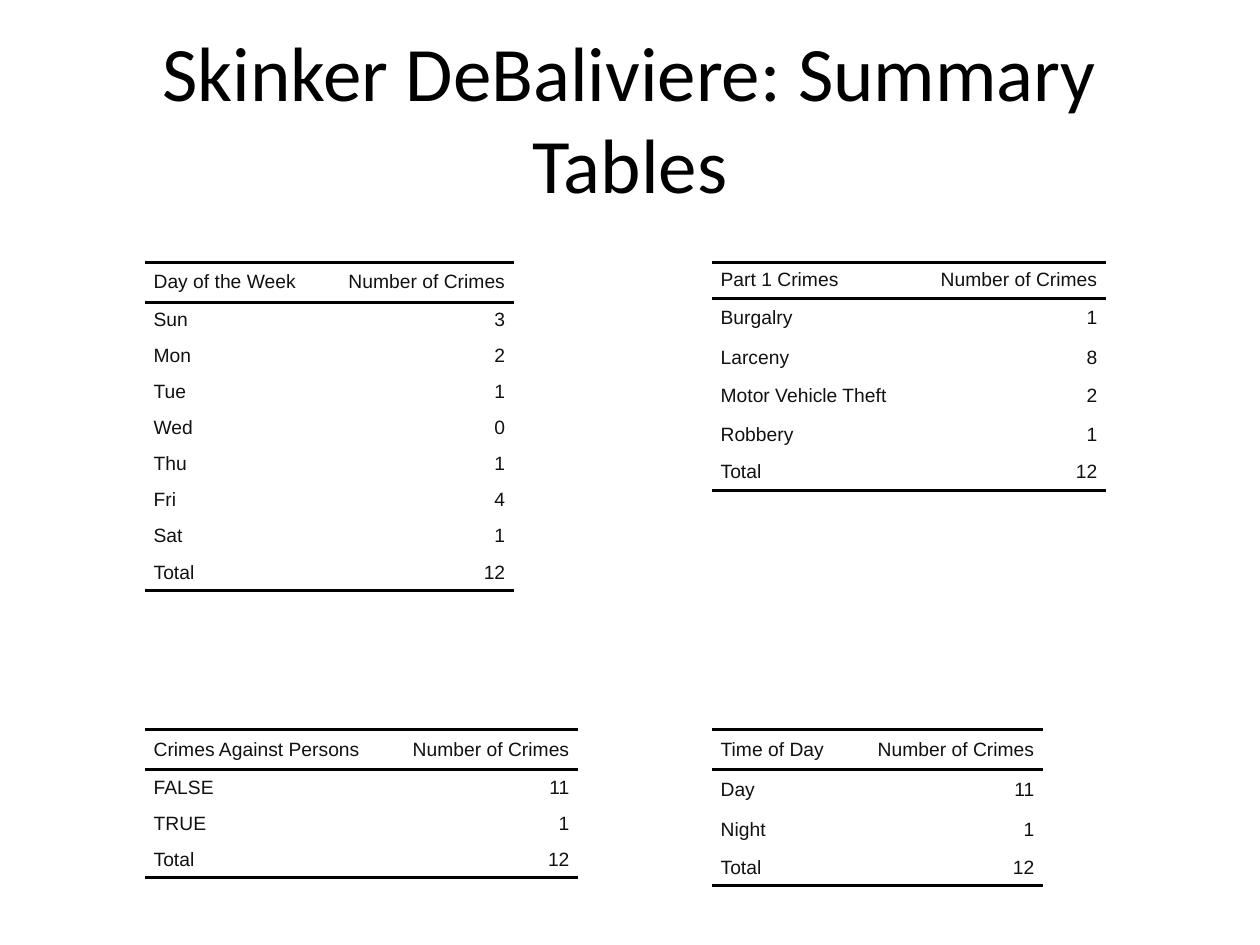
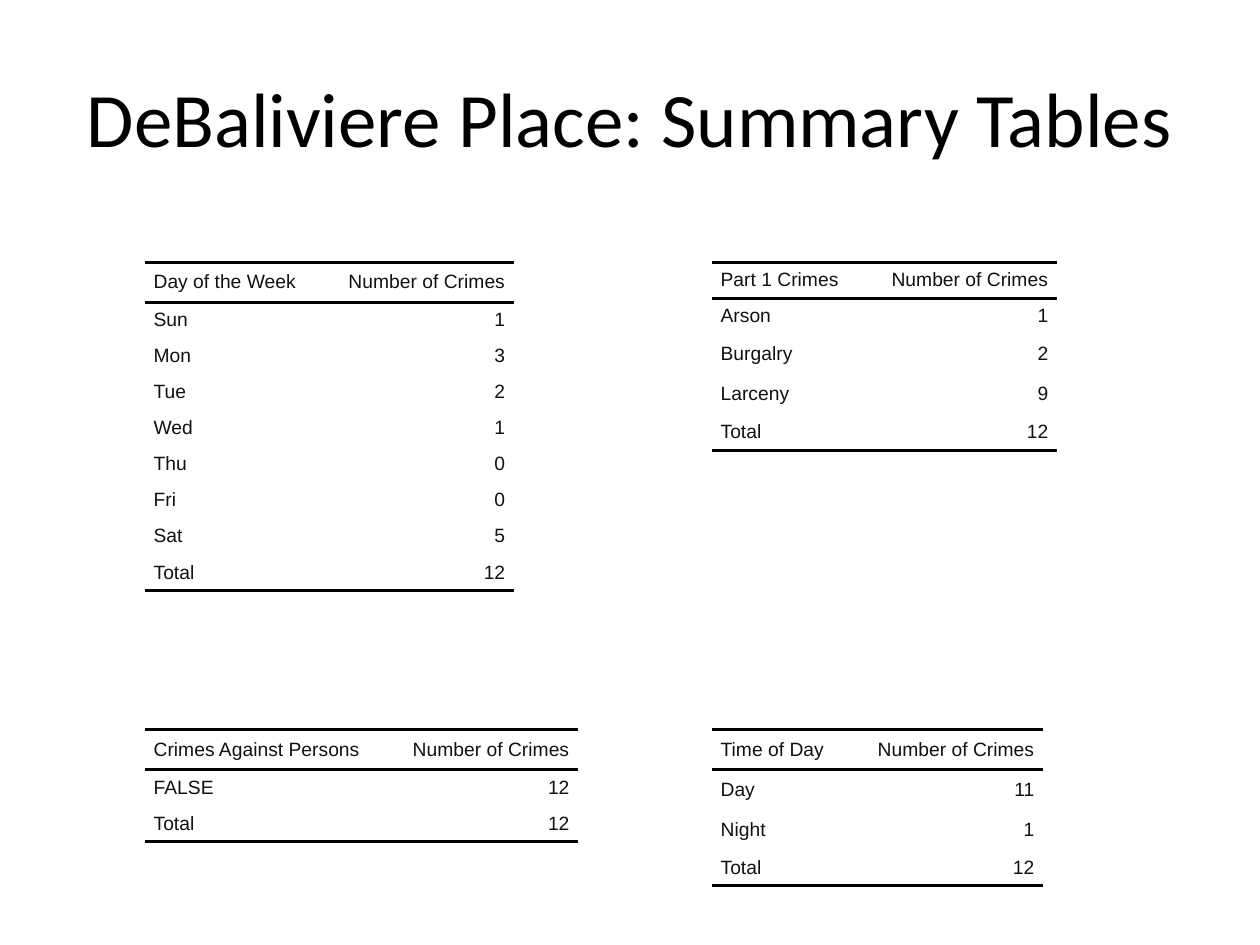
"""Builds two slides of crime summary tables, one per neighbourhood."""
from lxml.etree import SubElement
from pptx import Presentation
from pptx.dml.color import RGBColor
from pptx.enum.text import MSO_ANCHOR as Anchor, PP_ALIGN as Align
from pptx.oxml.ns import qn
from pptx.util import Pt

COLORS = {"title": "000000", "text": "111111", "rule": "000000"}
NO_STYLE = "{2D5ABB26-0587-4C30-8999-92F81FD0307C}"
LEFT, RIGHT = 82.8, 406.8
TOP, BOTTOM = 149.8, 416.9
COUNT_WIDTH = 109.4
ROW_HEIGHT, TALL_ROW_HEIGHT = 20.6, 22.9
DESCENDERS = set("gjpqy")
DAYS = ("Sun", "Mon", "Tue", "Wed", "Thu", "Fri", "Sat")

NEIGHBOURHOODS = [
    {
        "title": "Skinker DeBaliviere: Summary Tables",
        "part1_width": 115.9,
        "part1": {"Burgalry": 1, "Larceny": 8, "Motor Vehicle Theft": 2, "Robbery": 1},
        "days": (3, 2, 1, 0, 1, 4, 1),
        "persons": {"FALSE": 11, "TRUE": 1},
        "times": {"Day": 11, "Night": 1},
    },
    {
        "title": "DeBaliviere Place: Summary Tables",
        "part1_width": 87.8,
        "part1": {"Arson": 1, "Burgalry": 2, "Larceny": 9},
        "days": (1, 3, 2, 1, 0, 0, 5),
        "persons": {"FALSE": 12},
        "times": {"Day": 11, "Night": 1},
    },
]


class SummaryDeck:
    """Holds the deck's style and the current page."""

    def __init__(self):
        self.deck = Presentation()
        self.deck.slide_width, self.deck.slide_height = Pt(720), Pt(540)
        self.page = None

    def add_page(self, title):
        """Starts a blank page with a centred title."""
        self.page = self.deck.slides.add_slide(self.deck.slide_layouts[6])
        box = self.page.shapes.add_textbox(Pt(36), Pt(21.6), Pt(648), Pt(90))
        box.text_frame.word_wrap = True
        box.text_frame.vertical_anchor = Anchor.MIDDLE
        self.add_text(box.text_frame, title, "Calibri", 44, "title", Align.CENTER)

    def add_text(self, frame, text, font, size, color, align):
        """Adds one styled run to the frame's first paragraph."""
        para = frame.paragraphs[0]
        para.alignment = align
        span = para.add_run()
        span.text = text
        span.font.name = font
        span.font.size = Pt(size)
        span.font.color.rgb = RGBColor.from_string(COLORS[color])

    def add_rule(self, cell, side):
        """Draws a rule on the cell's top (T) or bottom (B) side."""
        line = SubElement(cell._tc.get_or_add_tcPr(), qn(f"a:ln{side}"), w=str(Pt(2)))
        fill = SubElement(line, qn("a:solidFill"))
        SubElement(fill, qn("a:srgbClr"), val=COLORS["rule"])

    def add_summary(self, left, top, label_width, heading, counts):
        """Adds a table of counts with a heading row and a total row."""
        rows = [(heading, "Number of Crimes"), *counts.items(), ("Total", sum(counts.values()))]
        heights = [TALL_ROW_HEIGHT if DESCENDERS & set(label) else ROW_HEIGHT for label, _ in rows]
        table = self.page.shapes.add_table(
            len(rows), 2, Pt(left), Pt(top), Pt(label_width + COUNT_WIDTH), Pt(sum(heights))
        ).table
        table.first_row = table.horz_banding = False
        table._tbl.tblPr.find(qn("a:tableStyleId")).text = NO_STYLE
        for column, width in zip(table.columns, (label_width, COUNT_WIDTH)):
            column.width = Pt(width)
        for index, (values, height) in enumerate(zip(rows, heights)):
            table.rows[index].height = Pt(height)
            sides = "TB" if index == 0 else "B" if index == len(rows) - 1 else ""
            for column, (value, align) in enumerate(zip(values, (Align.LEFT, Align.RIGHT))):
                cell = table.cell(index, column)
                cell.margin_left = cell.margin_right = Pt(5)
                cell.margin_top = cell.margin_bottom = Pt(0)
                cell.vertical_anchor = Anchor.MIDDLE
                for side in sides:
                    self.add_rule(cell, side)
                cell.fill.background()
                self.add_text(cell.text_frame, str(value), "Arial", 11, "text", align)


def main():
    """Builds one page per neighbourhood and saves the deck."""
    summary = SummaryDeck()
    for area in NEIGHBOURHOODS:
        summary.add_page(area["title"])
        summary.add_summary(RIGHT, TOP, area["part1_width"], "Part 1 Crimes", area["part1"])
        summary.add_summary(LEFT, TOP, 101.5, "Day of the Week", dict(zip(DAYS, area["days"])))
        summary.add_summary(LEFT, BOTTOM, 138.2, "Crimes Against Persons", area["persons"])
        summary.add_summary(RIGHT, BOTTOM, 79.9, "Time of Day", area["times"])
    summary.deck.save("out.pptx")


if __name__ == "__main__":
    main()
